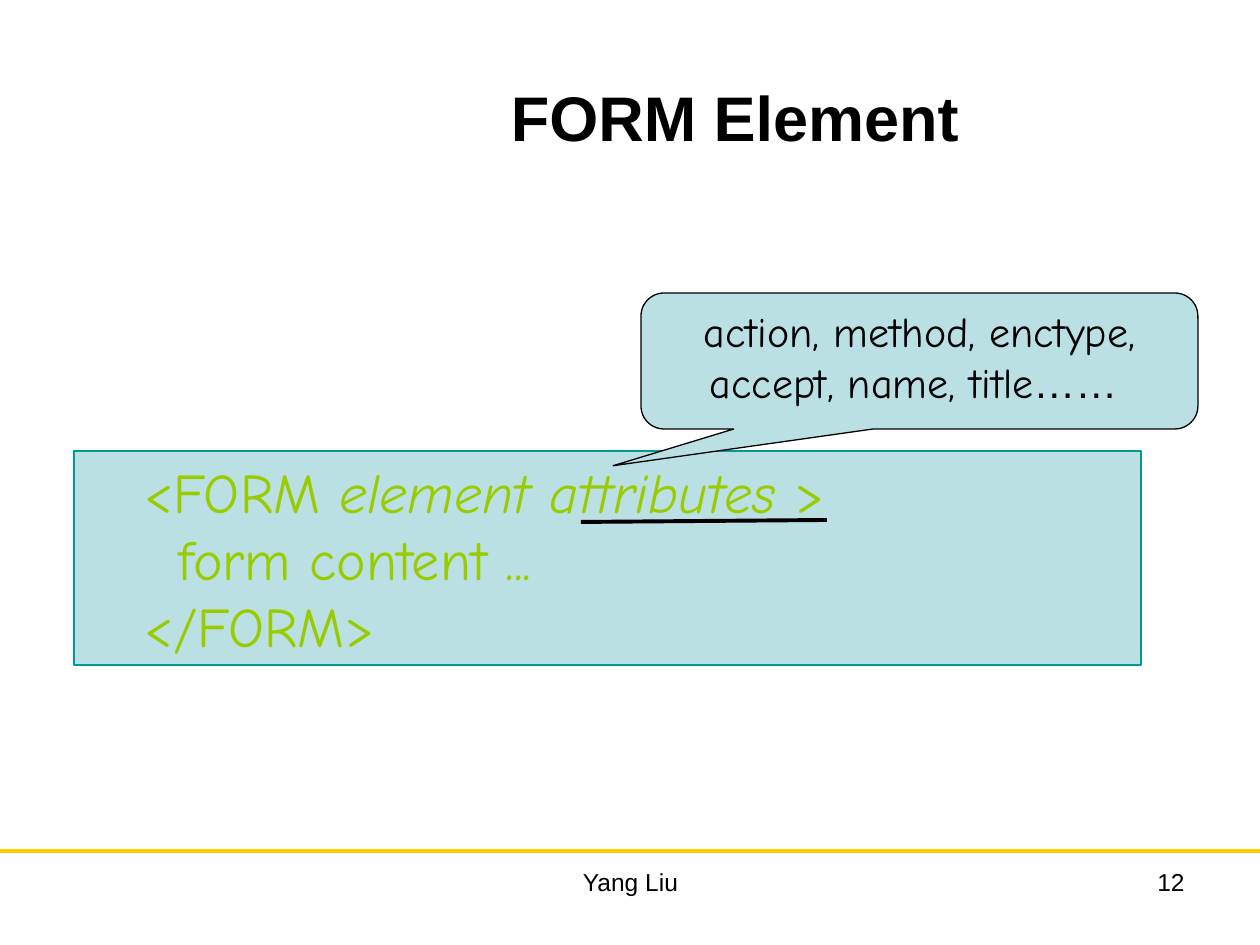
"""Build the FORM Element slide."""
from lxml.etree import SubElement
from pptx import Presentation
from pptx.dml.color import RGBColor
from pptx.enum.shapes import MSO_CONNECTOR as Link, MSO_SHAPE as Shape
from pptx.enum.text import MSO_ANCHOR as Anchor, PP_ALIGN as Align
from pptx.oxml.ns import qn
from pptx.util import Emu, Pt

BLACK = RGBColor(0, 0, 0)
GOLD = RGBColor(0xFF, 0xCC, 0x00)
PALE = RGBColor(0xBB, 0xE0, 0xE3)
TEAL = RGBColor(0x00, 0x99, 0x99)
LIME = RGBColor(0x99, 0xCC, 0x00)


def px(*vals):
    return [Emu(round(v * 914400 / 126)) for v in vals]


def style(run, size, face, color, bold=False):
    font = run.font
    font.size, font.name, font.bold = Pt(size), face, bold
    font.color.rgb = color


deck = Presentation()
deck.slide_width, deck.slide_height = px(1260, 945)
slide = deck.slides.add_slide(deck.slide_layouts[5])
shapes = slide.shapes

title = shapes.title
title.left, title.top, title.width, title.height = px(273, 38, 924, 157)
title.text_frame.text = "FORM Element"
title.text_frame.vertical_anchor = Anchor.MIDDLE
para = title.text_frame.paragraphs[0]
para.alignment = Align.CENTER
style(para.runs[0], 36, "Arial", BLACK, True)

for text, left, width, align in [
    ("Yang Liu", 431, 399, Align.CENTER),
    ("12", 903, 294, Align.RIGHT),
]:
    foot = shapes.add_textbox(*px(left, 861, width, 65)).text_frame
    foot.word_wrap = True
    foot.text = text
    foot.paragraphs[0].alignment = align
    style(foot.paragraphs[0].runs[0], 14, "Arial", BLACK)

code = shapes.add_shape(Shape.RECTANGLE, *px(74, 451, 1067, 214))
call = shapes.add_shape(Shape.ROUNDED_RECTANGULAR_CALLOUT, *px(641, 293, 557, 136))
for box, edge in [(code, TEAL), (call, BLACK)]:
    box.shadow.inherit = False
    box.fill.solid()
    box.fill.fore_color.rgb = PALE
    box.line.color.rgb = edge
    box.line.width = Pt(0.75)
    box.text_frame.word_wrap = True
    box.text_frame.vertical_anchor = Anchor.TOP
for i, val in enumerate([-0.55, 0.77, 0.17]):
    call.adjustments[i] = val

lines = [
    (58, ["<FORM ", "element attributes ", ">"]),
    (92, ["form content ..."]),
    (58, ["</FORM>"]),
]
frame = code.text_frame
for i, (dent, parts) in enumerate(lines):
    para = frame.add_paragraph() if i else frame.paragraphs[0]
    para.alignment = Align.LEFT
    para._p.get_or_add_pPr().set("marL", str(px(dent)[0]))
    for part in parts:
        run = para.add_run()
        run.text = part
        style(run, 32, "Comic Neue", LIME)
        run.font.italic = part.startswith("element")

para = call.text_frame.paragraphs[0]
para.alignment = Align.CENTER
for text, face in [
    ("action, method, enctype, accept, name, title", "Comic Neue"),
    ("…… ", "Arial"),
]:
    run = para.add_run()
    run.text = text
    style(run, 24, face, BLACK)

for ends, color in [((0, 851, 1260, 851), GOLD), ((581, 522, 827, 520), BLACK)]:
    rule = shapes.add_connector(Link.STRAIGHT, *px(*ends))
    rule.line.color.rgb = color
    rule.line.width = Pt(2.25)
    SubElement(rule._element.spPr, qn("a:effectLst"))

deck.save("out.pptx")
